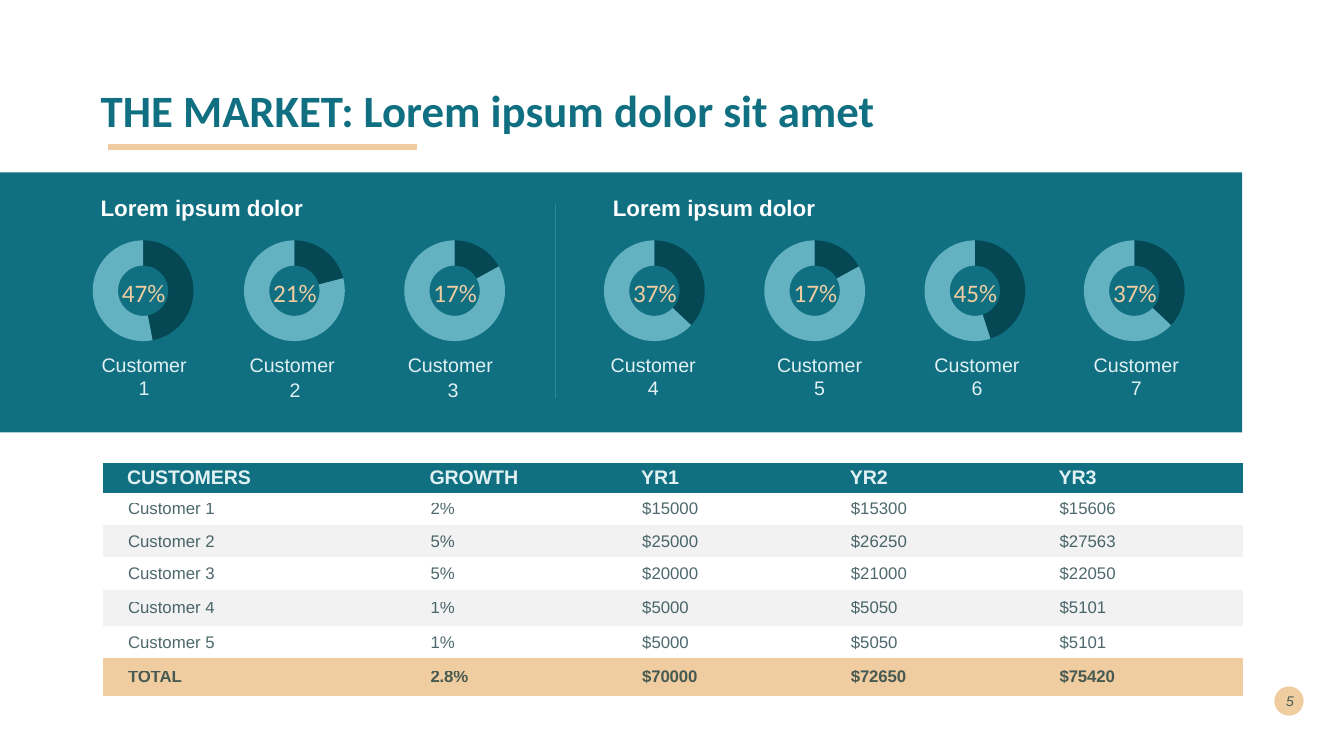
from lxml import etree
from pptx import Presentation
from pptx.chart.data import CategoryChartData
from pptx.dml.color import RGBColor
from pptx.enum.chart import XL_CHART_TYPE
from pptx.enum.shapes import MSO_CONNECTOR, MSO_SHAPE
from pptx.enum.text import MSO_ANCHOR, PP_ALIGN
from pptx.oxml import parse_xml
from pptx.oxml.ns import nsdecls, qn
from pptx.util import Inches, Pt

DOUGHNUT = XL_CHART_TYPE.DOUGHNUT
STRAIGHT = MSO_CONNECTOR.STRAIGHT
RECTANGLE, OVAL = MSO_SHAPE.RECTANGLE, MSO_SHAPE.OVAL
TOP, MIDDLE = MSO_ANCHOR.TOP, MSO_ANCHOR.MIDDLE
LEFT, CENTER, RIGHT = PP_ALIGN.LEFT, PP_ALIGN.CENTER, PP_ALIGN.RIGHT

WIDTH, HEIGHT = Inches(13.33), Inches(7.5)
COLORS = {
    "teal": "107082", "dark_teal": "054854", "light_teal": "64B2C1",
    "sand": "F0CDA1", "pale": "E0F0F3", "white": "FFFFFF",
    "ink": "00292E", "stripe": "F2F2F2", "black": "000000",
}
NO_STYLE_TABLE = "{2D5ABB26-0587-4C30-8999-92F81FD0307C}"
RING_SIZE = 13.33  # diameter, share of the slide's height

# share in percent, ring centre, chart width, caption centre, caption lines
CUSTOMERS = [
    (47, 10.65, 10.8, 10.69, ["Customer 1"]),
    (21, 21.91, 12.15, 21.91, ["Customer ", "2"]),
    (17, 33.83, 12.15, 33.68, ["Customer ", "3"]),
    (37, 48.69, 12.15, 48.57, ["Customer 4"]),
    (17, 60.62, 12.15, 60.95, ["Customer 5"]),
    (45, 72.54, 12.15, 72.66, ["Customer 6"]),
    (37, 84.4, 12.15, 84.51, ["Customer 7"]),
]
SALES = [
    ["CUSTOMERS", "GROWTH", "YR1", "YR2", "YR3"],
    ["Customer 1", "2%", "$15000", "$15300", "$15606"],
    ["Customer 2", "5%", "$25000", "$26250", "$27563"],
    ["Customer 3", "5%", "$20000", "$21000", "$22050"],
    ["Customer 4", "1%", "$5000", "$5050", "$5101"],
    ["Customer 5", "1%", "$5000", "$5050", "$5101"],
    ["TOTAL", "2.8%", "$70000", "$72650", "$75420"],
]
COLUMN_WIDTHS = [22.51, 15.75, 15.53, 15.53, 15.53]
ROW_HEIGHTS = [4, 4.27, 4.27, 4.27, 4.8, 4.27, 4.93]


def across(share):
    return round(WIDTH * share / 100)


def down(share):
    return round(HEIGHT * share / 100)


def area(x, y, width, height):
    """Turn percent shares of the slide into left, top, width, height."""
    return across(x), down(y), across(width), down(height)


def color(name):
    return RGBColor.from_string(COLORS[name])


def set_alpha(fill_parent, percent):
    rgb = next(fill_parent.iter(qn("a:srgbClr")))
    etree.SubElement(rgb, qn("a:alpha")).set("val", str(percent * 1000))


def write(frame, lines, size, ink, font="Arial", bold=False, italic=False,
          align=LEFT, anchor=TOP, insets=(0.1, 0.05, 0.1, 0.05), indent=0,
          before=0, line_spacing=None, spacing=0, alpha=None):
    """Fill a text frame or a table cell with one paragraph per line."""
    frame.vertical_anchor = anchor
    (frame.margin_left, frame.margin_top,
     frame.margin_right, frame.margin_bottom) = map(Inches, insets)
    text = getattr(frame, "text_frame", frame)
    text.word_wrap = True
    for number, line in enumerate(lines):
        paragraph = text.add_paragraph() if number else text.paragraphs[0]
        paragraph.alignment = align
        paragraph.space_before = Pt(before)
        paragraph.line_spacing = line_spacing
        if indent:
            paragraph._p.get_or_add_pPr().set("marL", str(Inches(indent)))
        run = paragraph.add_run()
        run.text = line
        run.font.name, run.font.size = font, Pt(size)
        run.font.bold, run.font.italic = bold, italic
        run.font.color.rgb = color(ink)
        properties = run._r.get_or_add_rPr()
        if spacing:
            properties.set("spc", str(round(spacing * 100)))
        if alpha:
            set_alpha(properties, alpha)


def add_text(slide, place, lines, **style):
    write(slide.shapes.add_textbox(*area(*place)).text_frame, lines, **style)


def add_block(slide, kind, place, fill):
    block = slide.shapes.add_shape(kind, *area(*place))
    block.shadow.inherit = False
    block.fill.solid()
    block.fill.fore_color.rgb = color(fill)
    block.line.fill.background()


def add_rule(slide, start, end, ink, weight, alpha=None):
    rule = slide.shapes.add_connector(
        STRAIGHT, across(start[0]), down(start[1]), across(end[0]), down(end[1]))
    rule.line.color.rgb = color(ink)
    rule.line.width = Pt(weight)
    properties = rule._element.spPr
    if alpha:
        set_alpha(properties, alpha)
    etree.SubElement(properties, qn("a:effectLst"))


def add_ring(slide, share, center, width):
    data = CategoryChartData()
    data.categories = ["1", "2"]
    data.add_series("Series 1", [share, 100 - share])
    place = area(center - width / 2, 30, width, 16.93)
    chart = slide.shapes.add_chart(DOUGHNUT, *place, data).chart
    chart.has_legend = chart.has_title = False
    chart.font.name, chart.font.size = "Arial", Pt(10)
    chart.font.color.rgb = color("black")
    plot = chart.plots[0]
    plot.vary_by_categories = False
    for index, fill in enumerate(["dark_teal", "light_teal"]):
        wedge = plot.series[0].points[index].format
        wedge.fill.solid()
        wedge.fill.fore_color.rgb = color(fill)
        wedge.line.fill.background()
    plot._element.find(qn("c:holeSize")).set("val", "67")

    wide, high = down(RING_SIZE) / place[2], down(RING_SIZE) / place[3]
    plot_area = plot._element.getparent()
    for layout in plot_area.findall(qn("c:layout")):
        plot_area.remove(layout)
    plot_area.insert(0, parse_xml(
        f'<c:layout {nsdecls("c")}><c:manualLayout>'
        '<c:layoutTarget val="inner"/><c:xMode val="edge"/><c:yMode val="edge"/>'
        f'<c:x val="{(1 - wide) / 2:.4f}"/><c:y val="{(1 - high) / 2:.4f}"/>'
        f'<c:w val="{wide:.4f}"/><c:h val="{high:.4f}"/>'
        '</c:manualLayout></c:layout>'))


def add_customer(slide, share, center, width, caption_center, caption):
    label = dict(align=CENTER, insets=(0, 0.01, 0, 0), indent=0.01, before=1)
    add_ring(slide, share, center, width)
    add_text(slide, (center - 3.71, 36.53, 7.43, 4.27), [f"{share}%"],
             size=18, ink="sand", font="Calibri", **label)
    caption_width = 7.43 if len(caption) == 1 else 8.25
    add_text(slide, (caption_center - caption_width / 2, 46.53, caption_width, 6.53),
             caption, size=14, ink="pale", **label)


def add_sales_table(slide):
    place = area(7.65, 61.2, sum(COLUMN_WIDTHS), sum(ROW_HEIGHTS))
    table = slide.shapes.add_table(len(SALES), len(SALES[0]), *place).table
    table.first_row = table.horz_banding = False
    table._tbl.tblPr.find(qn("a:tableStyleId")).text = NO_STYLE_TABLE
    for column, width in zip(table.columns, COLUMN_WIDTHS):
        column.width = across(width)
    header = dict(size=14, ink="pale", bold=True, insets=(0, 0, 0, 0),
                  indent=0.24, before=7.8, spacing=-0.1)
    body = dict(size=12, ink="ink", alpha=70, insets=(0, 0.05, 0.1, 0.05),
                indent=0.25, before=3.4)
    total = dict(body, bold=True, insets=(0, 0, 0, 0), before=3.7, spacing=-0.1)
    for number, values in enumerate(SALES):
        table.rows[number].height = down(ROW_HEIGHTS[number])
        if number == 0:
            style, fill = header, "teal"
        elif number == len(SALES) - 1:
            style, fill = total, "sand"
        else:
            style, fill = body, None if number % 2 else "stripe"
        for cell, value in zip(table.rows[number].cells, values):
            write(cell, [value], anchor=MIDDLE, **style)
            if fill:
                cell.fill.solid()
                cell.fill.fore_color.rgb = color(fill)
            else:
                cell.fill.background()


def main():
    deck = Presentation()
    deck.slide_width, deck.slide_height = WIDTH, HEIGHT
    slide = deck.slides.add_slide(deck.slide_layouts[6])

    add_block(slide, OVAL, (94.82, 90.8, 2.18, 3.87), "sand")
    add_block(slide, RECTANGLE, (0, 22.8, 92.42, 34.4), "teal")
    add_text(slide, (94.07, 90, 2.93, 5.33), ["5"], size=10, ink="ink",
             italic=True, alpha=70, align=RIGHT, anchor=MIDDLE)
    add_text(slide, (6.75, 5.33, 86.27, 19.33),
             ["THE MARKET: Lorem ipsum dolor sit amet"], size=32, ink="teal",
             font="Calibri", bold=True, anchor=MIDDLE, line_spacing=0.9)
    add_rule(slide, (8.03, 19.4), (31.06, 19.4), "sand", 4.32)
    for left, width in [(6.75, 31.06), (44.86, 42.91)]:
        add_text(slide, (left, 25.47, width, 5.07), ["Lorem ipsum dolor"],
                 size=16, ink="white", bold=True, before=10, line_spacing=0.9)
    add_rule(slide, (41.34, 26.93), (41.34, 52.67), "pale", 0.25, alpha=25)
    for customer in CUSTOMERS:
        add_customer(slide, *customer)
    add_sales_table(slide)
    deck.save("out.pptx")


if __name__ == "__main__":
    main()
